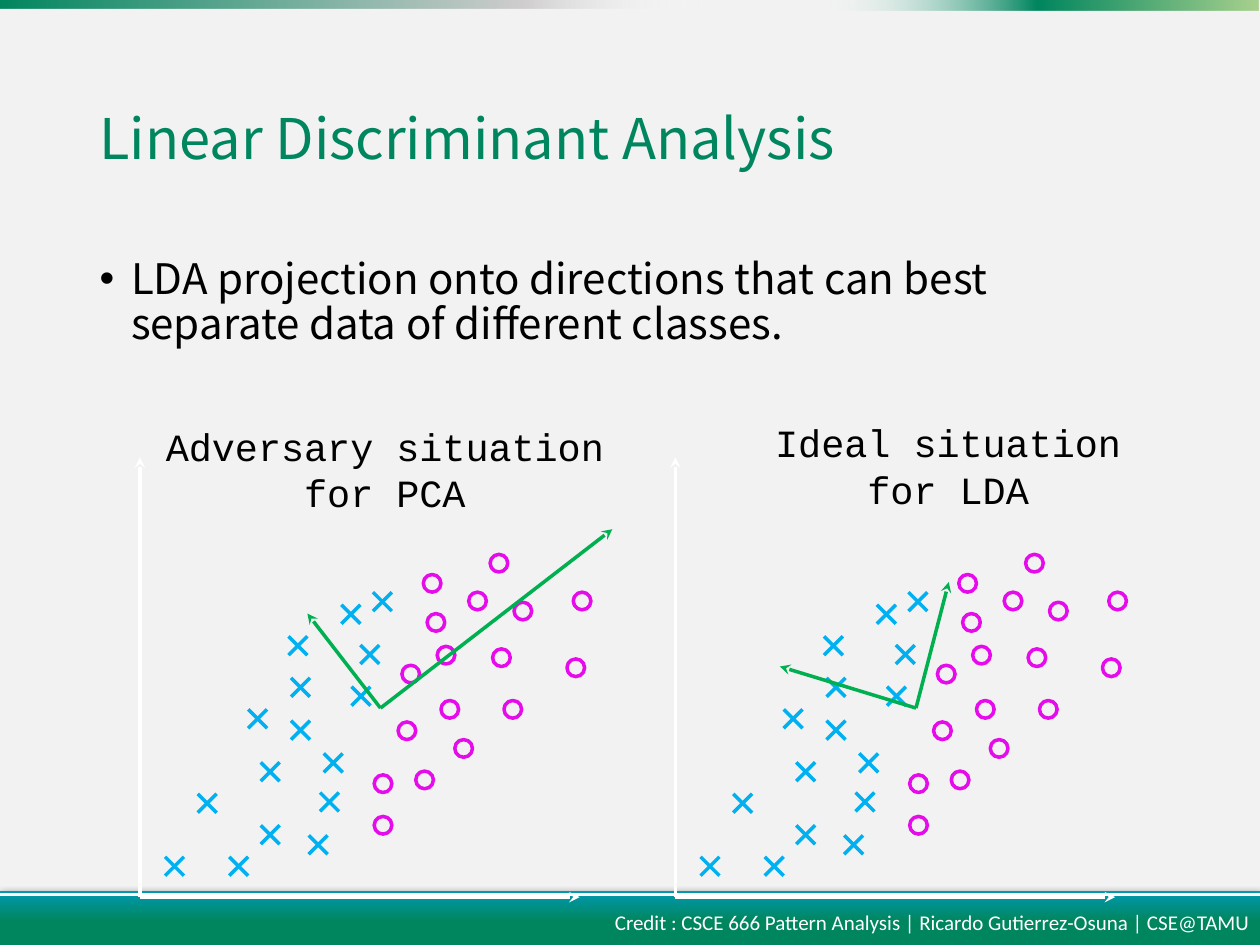
from dataclasses import dataclass

from lxml.etree import SubElement
from pptx import Presentation
from pptx.dml.color import RGBColor
from pptx.enum.shapes import MSO_CONNECTOR as Connector, MSO_SHAPE as Preset
from pptx.enum.text import MSO_ANCHOR as Anchor, MSO_AUTO_SIZE as AutoSize, PP_ALIGN as Align
from pptx.oxml.ns import qn
from pptx.util import Inches, Pt

Point = tuple[float, float]

GREEN, TEAL, WHITE, BLACK = "00865F", "009AB3", "FFFFFF", "000000"
CLASS_BLUE, CLASS_PINK, PROJECTION_GREEN = "00B0F0", "E60BEB", "00B050"
HEADING_FONT = "Noto Sans CJK TC"
CROSS_SIZE, RING_SIZE = 0.15, 0.14
AXIS_LENGTH = 3.49
ORIGIN_Y = 7.12
FIRST_ORIGIN_X = 1.11

CROSSES = [
    (1.57, 6.3), (2.57, 5.98), (2.86, 5.12), (2.54, 6.29), (2.31, 5.72), (1.31, 6.8),
    (1.82, 6.8), (2.71, 4.8), (2.96, 4.7), (1.97, 5.63), (2.31, 5.38), (2.79, 5.45),
    (2.45, 6.63), (2.29, 5.05), (2.07, 6.55), (2.07, 6.05),
]
RINGS = [
    (4.55, 4.7), (2.97, 6.15), (4, 5.56), (3.5, 5.56), (3.3, 6.12), (4.5, 5.23),
    (4.08, 4.78), (3.36, 4.56), (3.89, 4.4), (3.16, 5.73), (3.39, 4.87), (2.97, 6.48),
    (3.19, 5.28), (3.91, 5.15), (3.61, 5.87), (3.47, 5.13), (3.72, 4.7),
]


@dataclass
class Stop:
    percent: int
    color: str
    alpha: int = 100


@dataclass
class Box:
    left: float
    top: float
    width: float
    height: float

    def lengths(self):
        return [Inches(v) for v in (self.left, self.top, self.width, self.height)]


@dataclass
class Scatter:
    origin_x: float
    caption: list[str]
    caption_box: Box
    projection_start: Point
    projection_ends: list[Point]


SCATTERS = [
    Scatter(FIRST_ORIGIN_X, ["Adversary situation", "for PCA"], Box(1.19, 3.31, 3.73, 0.84),
            (3.02, 5.62), [(4.86, 4.2), (2.44, 4.87)]),
    Scatter(5.36, ["Ideal situation", "for LDA"], Box(6.03, 3.28, 2.99, 0.84),
            (7.27, 5.62), [(7.53, 4.62), (6.19, 5.29)]),
]


def rgb(value: str) -> RGBColor:
    return RGBColor.from_string(value)


def add_run(paragraph, text: str, font_name: str, size: float, color: str) -> None:
    run = paragraph.add_run()
    run.text = text
    run.font.name = font_name
    run.font.size = Pt(size)
    run.font.color.rgb = rgb(color)


def add_line(slide, start: Point, end: Point, color: str, width: float = 2,
             arrow: bool = False) -> None:
    ends = [Inches(v) for v in (*start, *end)]
    line = slide.shapes.add_connector(Connector.STRAIGHT, *ends)
    line.line.color.rgb = rgb(color)
    line.line.width = Pt(width)
    if arrow:
        SubElement(line.line._get_or_add_ln(), qn("a:tailEnd"), type="stealth")
    SubElement(line.element.spPr, qn("a:effectLst"))


def add_gradient_bar(slide, box: Box, stops: list[Stop], angle: float = 0):
    bar = slide.shapes.add_shape(Preset.RECTANGLE, *box.lengths())
    bar.shadow.inherit = False
    bar.line.fill.background()
    bar.fill.gradient()
    bar.fill.gradient_angle = angle
    stop_list = bar.element.spPr.find(".//" + qn("a:gsLst"))
    stop_list.clear()
    for stop in stops:
        entry = SubElement(stop_list, qn("a:gs"), pos=str(stop.percent * 1000))
        tint = SubElement(entry, qn("a:srgbClr"), val=stop.color)
        if stop.alpha < 100:
            SubElement(tint, qn("a:alpha"), val=str(stop.alpha * 1000))
    return bar


def add_bar_shadow(bar) -> None:
    effects = bar.element.spPr.find(qn("a:effectLst"))
    outer = SubElement(effects, qn("a:outerShdw"), blurRad=str(Pt(4.5)), dist=str(Pt(1.5)),
                       dir="5400000", rotWithShape="0")
    tint = SubElement(outer, qn("a:srgbClr"), val=BLACK)
    SubElement(tint, qn("a:alpha"), val="63000")


def add_text(slide, box: Box, lines: list[str], font_name: str, size: float, color: str,
             align: Align, wrap: bool) -> None:
    frame = slide.shapes.add_textbox(*box.lengths()).text_frame
    frame.word_wrap = wrap
    frame.auto_size = AutoSize.SHAPE_TO_FIT_TEXT
    for index, text in enumerate(lines):
        paragraph = frame.add_paragraph() if index else frame.paragraphs[0]
        paragraph.alignment = align
        add_run(paragraph, text, font_name, size, color)


def fill_placeholder(placeholder, box: Box, text: str, size: float, color: str,
                     anchor: Anchor, bullet: bool = False) -> None:
    placeholder.left, placeholder.top, placeholder.width, placeholder.height = box.lengths()
    frame = placeholder.text_frame
    frame.auto_size = AutoSize.NONE
    frame.vertical_anchor = anchor
    paragraph = frame.paragraphs[0]
    paragraph.alignment = Align.LEFT
    paragraph.line_spacing = 0.9
    paragraph.space_before = Pt(0)
    if bullet:
        properties = paragraph._p.get_or_add_pPr()
        properties.set("marL", str(Inches(0.25)))
        properties.set("indent", str(Inches(-0.25)))
        SubElement(properties, qn("a:buFont"), typeface="Arial")
        SubElement(properties, qn("a:buChar"), char="•")
    add_run(paragraph, text, HEADING_FONT, size, color)


def add_cross(slide, left: float, top: float) -> None:
    right, bottom = left + CROSS_SIZE, top + CROSS_SIZE
    add_line(slide, (left, top), (right, bottom), CLASS_BLUE)
    add_line(slide, (right, top), (left, bottom), CLASS_BLUE)


def add_ring(slide, left: float, top: float) -> None:
    ring = slide.shapes.add_shape(Preset.OVAL, *Box(left, top, RING_SIZE, RING_SIZE).lengths())
    ring.shadow.inherit = False
    ring.fill.background()
    ring.line.color.rgb = rgb(CLASS_PINK)
    ring.line.width = Pt(2)


def add_scatter(slide, scatter: Scatter) -> None:
    origin = (scatter.origin_x, ORIGIN_Y)
    shift = scatter.origin_x - FIRST_ORIGIN_X
    add_line(slide, origin, (scatter.origin_x + AXIS_LENGTH, ORIGIN_Y), WHITE, arrow=True)
    for x, y in CROSSES:
        add_cross(slide, x + shift, y)
    for x, y in RINGS:
        add_ring(slide, x + shift, y)
    add_line(slide, origin, (scatter.origin_x, ORIGIN_Y - AXIS_LENGTH), WHITE, arrow=True)
    for end in scatter.projection_ends:
        add_line(slide, scatter.projection_start, end, PROJECTION_GREEN, arrow=True)
    add_text(slide, scatter.caption_box, scatter.caption, "Courier New", 22, BLACK,
             Align.CENTER, wrap=False)


def main() -> None:
    deck = Presentation()
    deck.slide_width, deck.slide_height = Inches(10), Inches(7.5)
    slide = deck.slides.add_slide(deck.slide_layouts[1])
    slide.background.fill.solid()
    slide.background.fill.fore_color.rgb = rgb("F2F2F2")

    footer = add_gradient_bar(slide, Box(0, 7.07, 10, 0.47),
                              [Stop(0, TEAL), Stop(50, GREEN), Stop(100, GREEN)], angle=270)
    add_bar_shadow(footer)
    add_line(slide, (0, 7.1), (10, 7.1), WHITE, 1.5)
    add_gradient_bar(slide, Box(6.48, 0, 3.51, 0.08),
                     [Stop(0, WHITE, 0), Stop(50, GREEN), Stop(100, "A9D18E")])
    add_gradient_bar(slide, Box(-0.02, -0.05, 5.56, 0.12),
                     [Stop(0, GREEN), Stop(75, "D0CECE"), Stop(100, WHITE, 0)])

    fill_placeholder(slide.shapes.title, Box(0.69, 0.4, 8.62, 1.45),
                     "Linear Discriminant Analysis", 32, GREEN, Anchor.MIDDLE)
    fill_placeholder(slide.placeholders[1], Box(0.69, 2, 8.62, 4.76),
                     "LDA projection onto directions that can best separate data of "
                     "different classes.", 24, BLACK, Anchor.TOP, bullet=True)
    for scatter in SCATTERS:
        add_scatter(slide, scatter)
    add_text(slide, Box(3.96, 7.17, 6.06, 0.3),
             ["Credit : CSCE 666 Pattern Analysis | Ricardo Gutierrez-Osuna | CSE@TAMU"],
             "Calibri", 12, WHITE, Align.RIGHT, wrap=True)
    deck.save("out.pptx")


if __name__ == "__main__":
    main()
